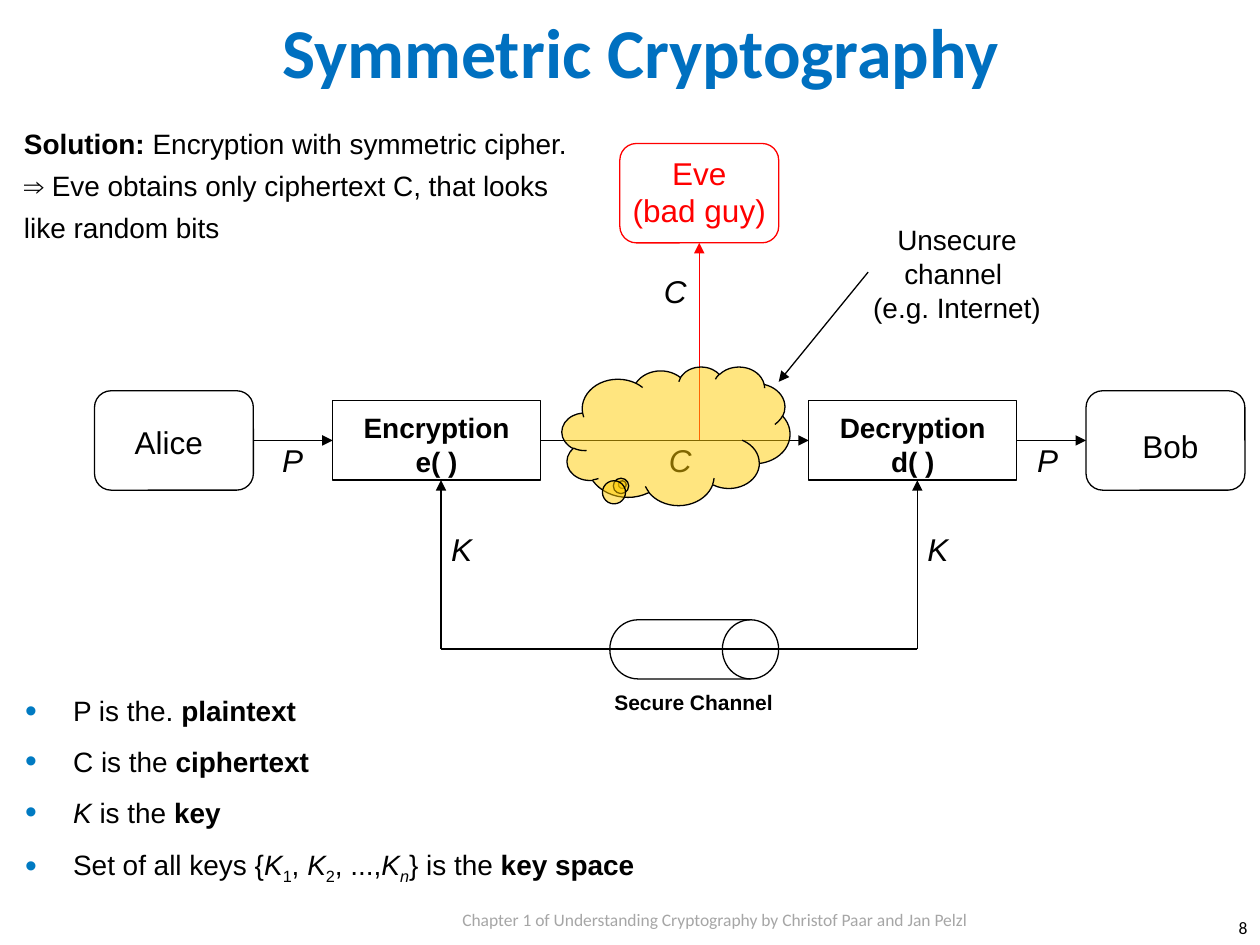
"""Build the Symmetric Cryptography slide."""
from dataclasses import dataclass
from typing import Optional

from lxml import etree
from pptx import Presentation
from pptx.dml.color import RGBColor
from pptx.enum.shapes import MSO_CONNECTOR, MSO_SHAPE
from pptx.enum.text import PP_ALIGN
from pptx.oxml.ns import qn
from pptx.util import Pt

STRAIGHT = MSO_CONNECTOR.STRAIGHT
ROUNDED, RECTANGLE = MSO_SHAPE.ROUNDED_RECTANGLE, MSO_SHAPE.RECTANGLE
DRUM, CLOUD = MSO_SHAPE.FLOWCHART_DIRECT_ACCESS_STORAGE, MSO_SHAPE.CLOUD_CALLOUT
LEFT, CENTER, RIGHT = PP_ALIGN.LEFT, PP_ALIGN.CENTER, PP_ALIGN.RIGHT
TOP_SIDE, LEFT_SIDE, BOTTOM_SIDE, RIGHT_SIDE = range(4)
BLACK, RED, WHITE, YELLOW = "000000", "FF0000", "FFFFFF", "FFCC00"
BLUE, BULLET_BLUE, GRAY = "0070C0", "007AC2", "A6A6A6"
MIDDLE = 251.7


@dataclass(frozen=True)
class Part:
    text: str
    bold: Optional[bool] = None
    italic: Optional[bool] = None
    subscript: bool = False


@dataclass(frozen=True)
class Style:
    size: float
    color: str = BLACK
    bold: Optional[bool] = None
    italic: Optional[bool] = None
    align: PP_ALIGN = LEFT
    name: str = "Arial"
    spacing: Optional[float] = None
    bullet: bool = False
    wrap: bool = True


@dataclass(frozen=True)
class Label:
    text: str
    left: float
    top: float
    width: float
    height: float
    style: Style


@dataclass(frozen=True)
class Node:
    kind: MSO_SHAPE
    left: float
    top: float
    width: float
    height: float
    line: str = BLACK
    fill: Optional[str] = None


def rgb(value: str) -> RGBColor:
    return RGBColor.from_string(value)


def add_bullet(paragraph) -> None:
    properties = paragraph._p.get_or_add_pPr()
    properties.set("marL", str(Pt(27.4)))
    properties.set("indent", str(-Pt(27.4)))
    color = etree.SubElement(properties, qn("a:buClr"))
    etree.SubElement(color, qn("a:srgbClr"), val=BULLET_BLUE)
    etree.SubElement(properties, qn("a:buSzPct"), val="120000")
    etree.SubElement(properties, qn("a:buFont"), typeface="Arial")
    etree.SubElement(properties, qn("a:buChar"), char="•")


def add_part(paragraph, part: Part) -> None:
    for index, line in enumerate(part.text.split("\n")):
        if index:
            paragraph.add_line_break()
        run = paragraph.add_run()
        run.text = line
        if part.bold:
            run.font.bold = True
        if part.italic:
            run.font.italic = True
        if part.subscript:
            run._r.get_or_add_rPr().set("baseline", "-25000")


def add_text(slide, left: float, top: float, width: float, height: float,
             paragraphs: list[list[Part]], style: Style) -> None:
    frame = slide.shapes.add_textbox(Pt(left), Pt(top), Pt(width), Pt(height)).text_frame
    frame.margin_left = frame.margin_top = frame.margin_right = frame.margin_bottom = 0
    frame.word_wrap = style.wrap
    for index, parts in enumerate(paragraphs):
        paragraph = frame.add_paragraph() if index else frame.paragraphs[0]
        if style.bullet:
            add_bullet(paragraph)
        if index:
            paragraph.space_before = Pt(5)
        if style.spacing:
            paragraph.line_spacing = style.spacing
        paragraph.alignment = style.align
        font = paragraph.font
        font.name, font.size = style.name, Pt(style.size)
        font.bold, font.italic = style.bold, style.italic
        font.color.rgb = rgb(style.color)
        for part in parts:
            add_part(paragraph, part)


def add_label(slide, label: Label) -> None:
    add_text(slide, label.left, label.top, label.width, label.height,
             [[Part(label.text)]], label.style)


def add_node(slide, node: Node):
    shape = slide.shapes.add_shape(node.kind, Pt(node.left), Pt(node.top),
                                   Pt(node.width), Pt(node.height))
    shape.shadow.inherit = False
    shape.line.color.rgb = rgb(node.line)
    shape.line.width = Pt(0.75)
    if node.fill:
        shape.fill.solid()
        shape.fill.fore_color.rgb = rgb(node.fill)
    else:
        shape.fill.background()
    return shape


def add_line(slide, start: tuple[float, float], end: tuple[float, float],
             color: str = BLACK, arrow: bool = True):
    connector = slide.shapes.add_connector(STRAIGHT, *map(Pt, start + end))
    connector.line.color.rgb = rgb(color)
    connector.line.width = Pt(0.75)
    if arrow:
        etree.SubElement(connector.line._get_or_add_ln(), qn("a:tailEnd"), type="triangle")
    etree.SubElement(connector._element.spPr, qn("a:effectLst"))
    return connector


def add_cloud(slide) -> None:
    cloud = add_node(slide, Node(CLOUD, 321.1, 209.5, 130.3, 79.2, fill=YELLOW))
    cloud.adjustments[0], cloud.adjustments[1] = -0.235, 0.352
    color = cloud._element.spPr.find(qn("a:solidFill"))[0]
    etree.SubElement(color, qn("a:alpha"), val="50000")


def main() -> None:
    presentation = Presentation()
    presentation.slide_width, presentation.slide_height = Pt(720), Pt(540)
    slide = presentation.slides.add_slide(presentation.slide_layouts[6])

    party = Style(18, align=CENTER)
    cipher = Style(16, bold=True, align=CENTER)
    symbol = Style(18, italic=True, wrap=False)
    labels = [
        Label("Chapter 1 of Understanding Cryptography by Christof Paar and Jan Pelzl",
              264.2, 517, 340.6, 20, Style(10, GRAY, name="Calibri", spacing=1.2)),
        Label("Symmetric Cryptography", 111.6, 5, 509, 40.3,
              Style(40, BLUE, True, align=CENTER, name="Calibri")),
        Label("Alice", 56.9, 241.9, 79.2, 21.6, party),
        Label("Bob", 629.3, 244.1, 79.2, 21.6, party),
        Label("Eve\n(bad guy)", 360, 87.8, 79.2, 43.2, Style(18, RED, align=CENTER)),
        Label("Encryption\ne( )", 190.1, 234.7, 118.8, 38.2, cipher),
        Label("Decryption\nd( )", 462.2, 234.7, 118.8, 38.2, cipher),
        Label("Secure Channel", 331.2, 393.8, 130.3, 14.4, Style(12, bold=True, align=CENTER)),
        Label("K", 257.8, 303.1, 23, 21.6, symbol),
        Label("K", 529.9, 303.1, 23, 21.6, symbol),
        Label("P", 161.3, 252, 12.2, 21.6, symbol),
        Label("P", 592.6, 252, 12.2, 21.6, symbol),
        Label("C", 382.3, 252, 13, 21.6, symbol),
        Label("C", 379.4, 155.5, 13, 21.6, symbol),
        Label("Unsecure channel \n(e.g. Internet)", 484.6, 127.4, 124.6, 57.6,
              Style(16, align=CENTER)),
        Label("8", 689.8, 524.2, 23, 12.2, Style(10, align=RIGHT, name="Calibri")),
    ]

    alice, bob, eve, encryption, decryption, _ = [add_node(slide, node) for node in (
        Node(ROUNDED, 54, 223.3, 90.8, 56.8),
        Node(ROUNDED, 620.6, 223.3, 90.8, 56.8),
        Node(ROUNDED, 354.2, 82, 90.8, 56.8, RED),
        Node(RECTANGLE, 190.1, 229, 118.8, 45.4),
        Node(RECTANGLE, 462.2, 229, 118.8, 45.4),
        Node(DRUM, 348.5, 354.2, 96.5, 33.8, fill=WHITE),
    )]
    for source, target in ((alice, encryption), (encryption, decryption), (decryption, bob)):
        flow = add_line(slide, (0, MIDDLE), (1, MIDDLE))
        flow.begin_connect(source, RIGHT_SIDE)
        flow.end_connect(target, LEFT_SIDE)
    tap = add_line(slide, (399.6, MIDDLE), (399.6, 138.8), RED)
    tap.end_connect(eve, BOTTOM_SIDE)
    for key_x in (252, 524.2):
        add_line(slide, (key_x, 370.9), (key_x, 274.4))
    add_line(slide, (252, 370.9), (524.2, 370.9), arrow=False)

    for label in labels:
        add_label(slide, label)
    add_cloud(slide)
    add_line(slide, (496.1, 155.5), (445, 218.2))

    add_text(slide, 14.4, 391.7, 396.7, 110.9, [
        [Part("P is the. "), Part("plaintext", bold=True)],
        [Part("C is the "), Part("ciphertext", bold=True)],
        [Part("K", italic=True), Part(" is the "), Part("key", bold=True)],
        [Part("Set of all keys {"), Part("K", italic=True), Part("1", subscript=True),
         Part(", "), Part("K", italic=True), Part("2", subscript=True), Part(", ...,"),
         Part("K", italic=True), Part("n", italic=True, subscript=True),
         Part("} is the "), Part("key space", bold=True)],
    ], Style(16, spacing=1.25, bullet=True))
    add_text(slide, 13.7, 67.7, 320.4, 72.7, [[
        Part("Solution:", bold=True),
        Part(" Encryption with symmetric cipher. \n"
             "⇒ Eve obtains only ciphertext C, that looks like random bits"),
    ]], Style(16, spacing=1.25))
    presentation.save("out.pptx")


if __name__ == "__main__":
    main()
